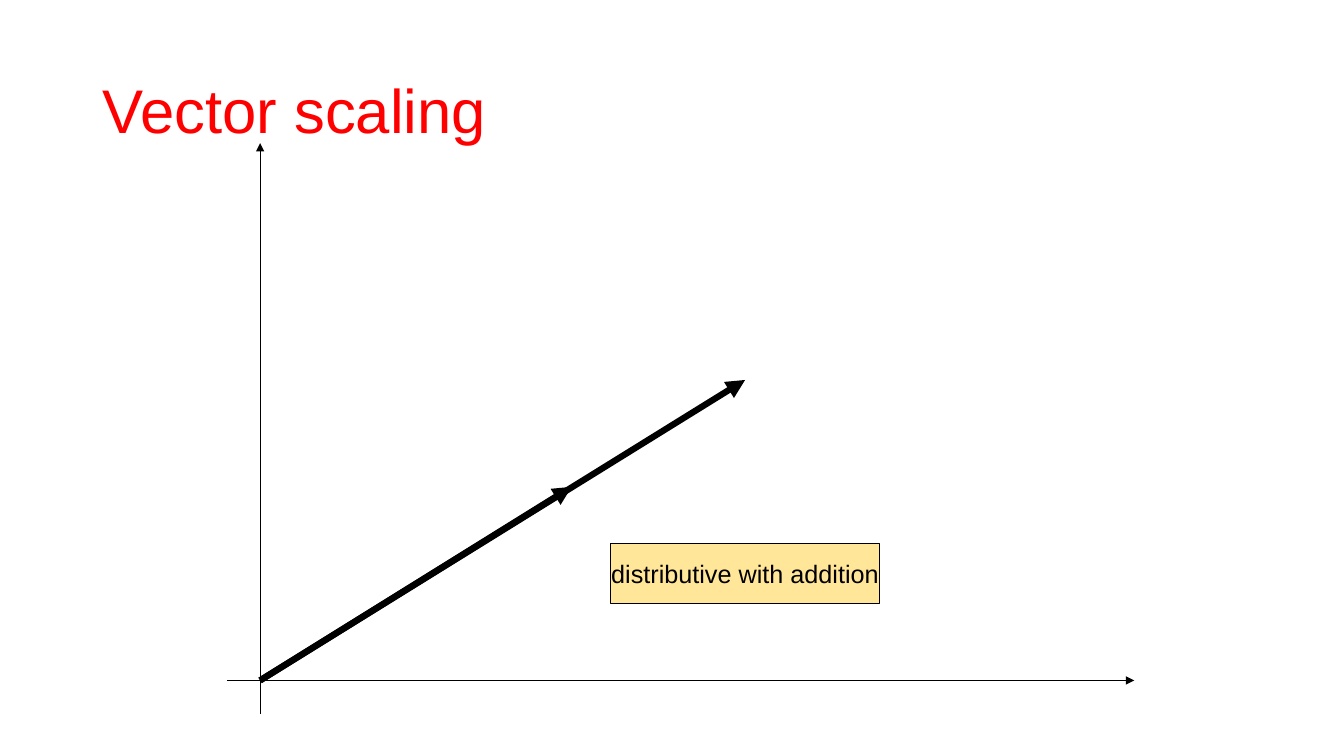
"""Build the vector scaling slide."""
import lxml.etree
import pptx
import pptx.dml.color
import pptx.enum.shapes
import pptx.enum.text
import pptx.oxml.ns
import pptx.util
from pptx.util import Inches

ORIGIN = (2.58, 6.75)
AXIS_ENDS = [((2.58, 7.08), (2.58, 1.42)), ((2.25, 6.75), (11.25, 6.75))]
VECTOR_TIPS = [(5.67, 4.83), (7.39, 3.77)]


def color(value):
    """Return the colour for a hex string."""
    return pptx.dml.color.RGBColor.from_string(value)


def write_text(shape, text, size, text_color):
    """Put one vertically centred paragraph into a shape and return it."""
    shape.text_frame.vertical_anchor = pptx.enum.text.MSO_ANCHOR.MIDDLE
    paragraph = shape.text_frame.paragraphs[0]
    paragraph.text = text
    paragraph.font.name = "Arial"
    paragraph.font.size = pptx.util.Pt(size)
    paragraph.font.color.rgb = color(text_color)
    return paragraph


def add_title(slide, text):
    """Add the red slide title."""
    box = slide.shapes.add_textbox(Inches(0.92), Inches(0.4), Inches(11.5), Inches(1.45))
    box.text_frame.word_wrap = True
    paragraph = write_text(box, text, 44, "FF0000")
    paragraph.line_spacing = 0.9


def add_arrow(slide, start, end, width):
    """Add a black straight arrow between two points."""
    arrow = slide.shapes.add_connector(
        pptx.enum.shapes.MSO_CONNECTOR.STRAIGHT, *map(Inches, (*start, *end)))
    arrow.line.color.rgb = color("000000")
    arrow.line.width = pptx.util.Pt(width)
    qualified = pptx.oxml.ns.qn
    line = arrow.line._get_or_add_ln()
    lxml.etree.SubElement(line, qualified("a:tailEnd"), type="triangle")
    lxml.etree.SubElement(arrow._element.spPr, qualified("a:effectLst"))


def add_label(slide, text):
    """Add the outlined yellow label."""
    label = slide.shapes.add_shape(
        pptx.enum.shapes.MSO_SHAPE.RECTANGLE,
        Inches(6.06), Inches(5.39), Inches(2.66), Inches(0.6))
    label.shadow.inherit = False
    label.fill.solid()
    label.fill.fore_color.rgb = color("FFE699")
    label.line.color.rgb = color("000000")
    label.line.width = pptx.util.Pt(0.75)
    label.text_frame.word_wrap = False
    paragraph = write_text(label, text, 18, "000000")
    paragraph.alignment = pptx.enum.text.PP_ALIGN.CENTER


def main():
    """Build and save the presentation."""
    presentation = pptx.Presentation()
    presentation.slide_width = Inches(13.33)
    presentation.slide_height = Inches(7.5)
    slide = presentation.slides.add_slide(presentation.slide_layouts[6])
    add_title(slide, "Vector scaling")
    for start, end in AXIS_ENDS:
        add_arrow(slide, start, end, 0.75)
    for tip in VECTOR_TIPS:
        add_arrow(slide, ORIGIN, tip, 4.5)
    add_label(slide, "distributive with addition")
    presentation.save("out.pptx")


if __name__ == "__main__":
    main()
